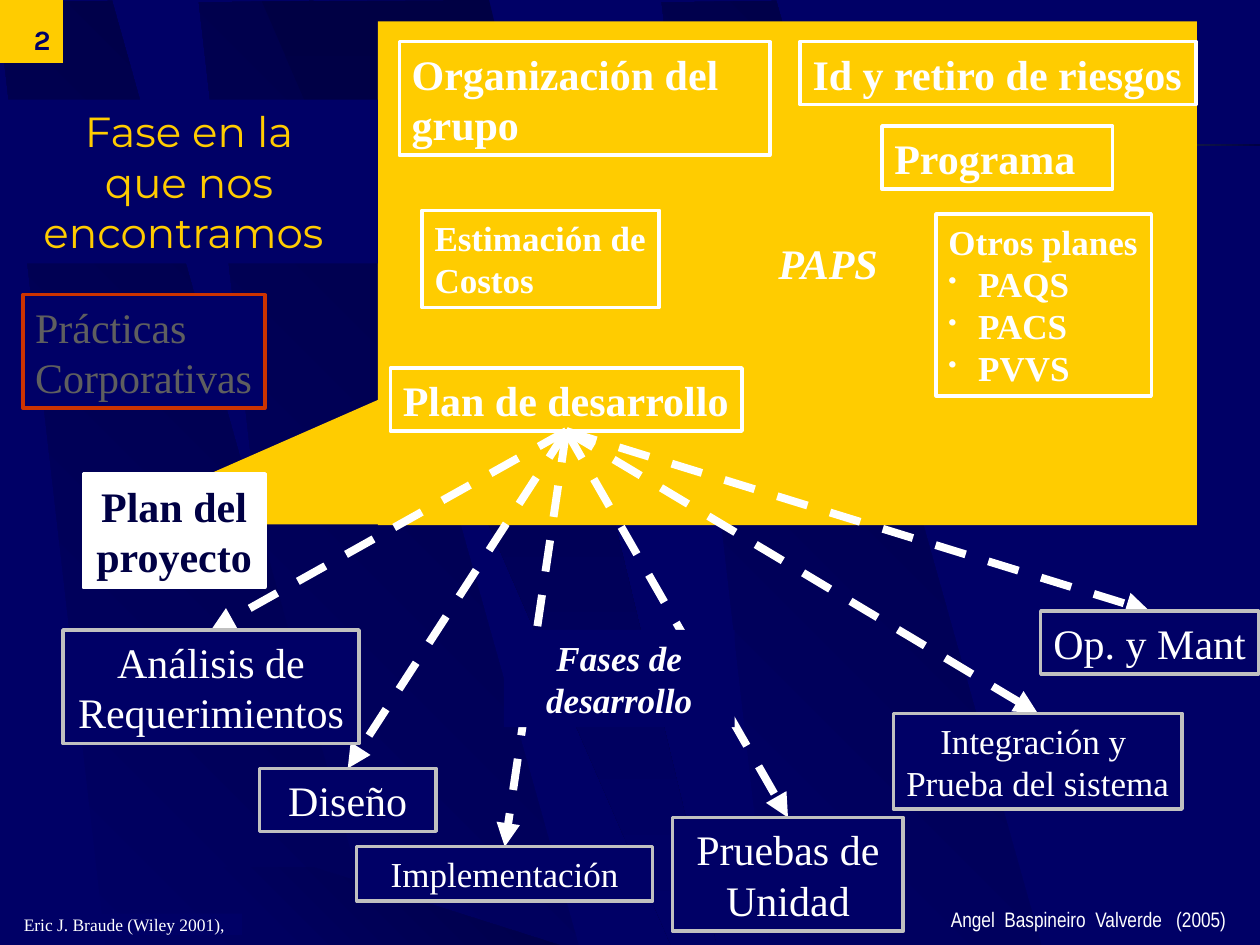
"""Build the slide that places the project plan among the development phases."""
from lxml.etree import SubElement
from pptx import Presentation
from pptx.dml.color import RGBColor
from pptx.enum.dml import MSO_LINE
from pptx.enum.shapes import MSO_CONNECTOR, MSO_SHAPE
from pptx.enum.text import MSO_ANCHOR, MSO_AUTO_SIZE, PP_ALIGN
from pptx.oxml import parse_xml
from pptx.oxml.ns import nsdecls, qn
from pptx.util import Cm, Pt

NAVY = RGBColor(0x00, 0x00, 0x66)
DARK_NAVY = RGBColor(0x00, 0x00, 0x44)
GREEN = RGBColor(0x9C, 0xE1, 0x57)
YELLOW = RGBColor(0xFF, 0xCC, 0x00)
WHITE = RGBColor(0xFF, 0xFF, 0xFF)
SILVER = RGBColor(0xC0, 0xC0, 0xC0)
GRAY = RGBColor(0x5F, 0x5F, 0x5F)
RED = RGBColor(0xCC, 0x33, 0x00)

BAND = [(2.18, 19.05), (7.67, 19.1), (2.31, 0), (0, 0.03)]
LOW_BAND = [(2.18, 1.7), (7.67, 1.7), (2.31, 0), (0, 0)]
WEDGE = [(5.28, 0.03), (13.54, 19.08), (14.45, 19.08), (9.86, 0)]

PLAN_PARTS = [
    ("Organización del grupo", (8.05, 0.84, 7.47, 2.29), 24, True),
    ("Id y retiro de riesgos", (16.13, 0.84, 7.98, 1.27), 24, False),
    ("Programa", (17.78, 2.54, 4.65, 1.27), 24, True),
    ("Estimación de\vCostos", (8.51, 4.24, 4.78, 1.96), 20, False),
]
PHASES = [
    ("Integración y \nPrueba del sistema", (18.01, 14.38, 5.82, 1.93), 20, False),
    ("Análisis de Requerimientos", (1.27, 12.7, 5.97, 2.29), 24, True),
    ("Diseño", (5.23, 15.49, 3.56, 1.27), 24, True),
    ("Op. y Mant", (20.98, 12.32, 4.39, 1.27), 24, False),
    ("Pruebas de\nUnidad", (13.56, 16.48, 4.65, 2.29), 24, True),
    ("Implementación", (7.19, 17.07, 5.97, 1.09), 20, True),
]


def add_bullet(paragraph):
    """Give a paragraph a small white bullet with a hanging indent."""
    properties = paragraph._p.get_or_add_pPr()
    properties.set("marL", str(Cm(0.6)))
    properties.set("indent", str(-Cm(0.6)))
    color = SubElement(properties, qn("a:buClr"))
    SubElement(color, qn("a:srgbClr"), val=str(WHITE))
    SubElement(properties, qn("a:buSzPct"), val="70000")
    SubElement(properties, qn("a:buChar"), char="•")


def write_text(shape, text, size=24, color=WHITE, font="Times New Roman",
               bold=False, italic=False, align=PP_ALIGN.LEFT,
               anchor=MSO_ANCHOR.TOP, wrap=True, grow=True, margin=0.13,
               spacing=None, bullets_from=None):
    """Write one paragraph per line of text into a shape."""
    frame = shape.text_frame
    frame.text = text
    frame.word_wrap = wrap
    frame.auto_size = MSO_AUTO_SIZE.SHAPE_TO_FIT_TEXT if grow else MSO_AUTO_SIZE.NONE
    frame.vertical_anchor = anchor
    frame.margin_left = frame.margin_right = Cm(0.25)
    frame.margin_top = frame.margin_bottom = Cm(margin)
    for index, paragraph in enumerate(frame.paragraphs):
        paragraph.alignment = align
        if spacing:
            paragraph.line_spacing = spacing
        if bullets_from is not None and index >= bullets_from:
            add_bullet(paragraph)
        for run in paragraph.runs:
            run.font.name = font
            run.font.size = Pt(size)
            run.font.bold = bold
            run.font.italic = italic
            run.font.color.rgb = color


def add_box(slide, place, fill=None, line=None, kind=MSO_SHAPE.RECTANGLE):
    """Add a preset shape with an optional fill and outline."""
    shape = slide.shapes.add_shape(kind, *map(Cm, place))
    shape.shadow.inherit = False
    if fill is None:
        shape.fill.background()
    else:
        shape.fill.solid()
        shape.fill.fore_color.rgb = fill
    if line is None:
        shape.line.fill.background()
    else:
        shape.line.color.rgb = line
        shape.line.width = Pt(2)
    return shape


def set_gradient(shape, colors, angle):
    """Fill a shape with evenly spaced colours along a clockwise angle."""
    step = 100000 // (len(colors) - 1)
    stops = "".join(
        f'<a:gs pos="{index * step}"><a:srgbClr val="{color}"/></a:gs>'
        for index, color in enumerate(colors))
    gradient = parse_xml(
        f'<a:gradFill {nsdecls("a")}><a:gsLst>{stops}</a:gsLst>'
        f'<a:lin ang="{angle * 60000}" scaled="0"/></a:gradFill>')
    shape.fill.background()
    properties = shape.element.spPr
    properties.replace(properties.find(qn("a:noFill")), gradient)


def add_band(slide, points, colors, angle, left=0, top=0):
    """Add a slanted gradient band of the background."""
    corners = [(Cm(left + x), Cm(top + y)) for x, y in points]
    builder = slide.shapes.build_freeform(*corners[0])
    builder.add_line_segments(corners[1:], close=True)
    band = builder.convert_to_shape()
    band.shadow.inherit = False
    band.line.fill.background()
    set_gradient(band, colors, angle)


def add_background(slide):
    """Paint the navy background with its bands and strip."""
    slide.background.fill.solid()
    slide.background.fill.fore_color.rgb = NAVY
    for left in (4.01, -0.05, 13.34):
        add_band(slide, BAND, [NAVY, DARK_NAVY], 315, left, 0.02)
    add_band(slide, WEDGE, [DARK_NAVY, NAVY], 90)
    add_band(slide, LOW_BAND, [NAVY, DARK_NAVY], 315, 4.01, 17.48)
    strip = add_box(slide, (0, 2.9, 25.4, 0.05))
    set_gradient(strip, [DARK_NAVY, GREEN, DARK_NAVY], 0)


def add_dashed_arrow(slide, source):
    """Start a dashed arrow at the bottom of a box."""
    arrow = slide.shapes.add_connector(MSO_CONNECTOR.STRAIGHT, 0, 0, 0, 0)
    arrow.begin_connect(source, 2)
    arrow.line.color.rgb = WHITE
    arrow.line.width = Pt(4.5)
    arrow.line.dash_style = MSO_LINE.DASH
    SubElement(arrow.line._get_or_add_ln(), qn("a:tailEnd"), type="triangle")
    SubElement(arrow._element.spPr, qn("a:effectLst"))
    return arrow


def add_phases(slide, development_plan):
    """Add the phase boxes, each reached by an arrow that lies beneath them."""
    arrows = [add_dashed_arrow(slide, development_plan) for _ in PHASES]
    for arrow, (text, place, size, wrap) in zip(arrows, PHASES):
        box = add_box(slide, place, NAVY, SILVER)
        write_text(box, text, size=size, wrap=wrap, align=PP_ALIGN.CENTER,
                   anchor=MSO_ANCHOR.MIDDLE)
        arrow.end_connect(box, 0)
    label = add_box(slide, (10.16, 12.7, 4.65, 1.96), NAVY)
    write_text(label, "Fases de desarrollo", size=20, bold=True, italic=True,
               align=PP_ALIGN.CENTER)


def add_plan(slide):
    """Add the yellow plan panel with its parts and return the development plan."""
    wedge = add_box(slide, (1.91, 5.92, 10.59, 4.65), YELLOW,
                    kind=MSO_SHAPE.RIGHT_TRIANGLE)
    wedge.element.spPr.get_or_add_xfrm().set("flipH", "1")
    add_box(slide, (7.62, 0.43, 16.51, 10.16), YELLOW)
    for text, place, size, wrap in PLAN_PARTS:
        write_text(add_box(slide, place, line=WHITE), text, size=size, bold=True, wrap=wrap)
    others = add_box(slide, (18.87, 4.32, 4.34, 3.66), line=WHITE)
    write_text(others, "Otros planes\nPAQS\nPACS\nPVVS", size=20, bold=True,
               wrap=False, bullets_from=1)
    label = slide.shapes.add_textbox(Cm(15.44), Cm(4.65), Cm(2.57), Cm(1.27))
    write_text(label, "PAPS", bold=True, italic=True, wrap=False)
    project = add_box(slide, (1.68, 9.55, 3.66, 2.29), WHITE, WHITE)
    write_text(project, "Plan del\nproyecto", color=DARK_NAVY, bold=True, wrap=False,
               align=PP_ALIGN.CENTER, anchor=MSO_ANCHOR.MIDDLE)
    development = add_box(slide, (7.87, 7.42, 7.09, 1.27), line=WHITE)
    write_text(development, "Plan de desarrollo", bold=True, wrap=False)
    return development


def add_frame_texts(slide):
    """Add the slide number, title, practices box, source and author."""
    number = add_box(slide, (0, 0, 1.27, 1.27), YELLOW)
    write_text(number, "2", size=16, color=NAVY, font="Karla", bold=True, grow=False,
               align=PP_ALIGN.RIGHT, anchor=MSO_ANCHOR.BOTTOM)
    title = add_box(slide, (0, 2.01, 7.62, 3.3), NAVY)
    write_text(title, "Fase en la\vque nos\vencontramos ", color=YELLOW,
               font="Montserrat", align=PP_ALIGN.CENTER, anchor=MSO_ANCHOR.BOTTOM)
    practices = add_box(slide, (0.46, 5.94, 4.88, 2.29), NAVY, RED)
    write_text(practices, "Prácticas\nCorporativas", color=GRAY, wrap=False,
               anchor=MSO_ANCHOR.MIDDLE)
    source = add_box(slide, (0.23, 18.42, 4.65, 0.43), NAVY)
    write_text(source, "Eric J. Braude (Wiley 2001),", size=10, wrap=False, margin=0)
    author = slide.shapes.add_textbox(Cm(18.92), Cm(18.21), Cm(6.48), Cm(0.71))
    write_text(author, "Angel  Baspineiro  Valverde   (2005)", size=12,
               font="Arial Narrow", spacing=0.9)


def main():
    """Build and save the presentation."""
    presentation = Presentation()
    presentation.slide_width, presentation.slide_height = Cm(25.4), Cm(19.05)
    slide = presentation.slides.add_slide(presentation.slide_layouts[6])
    add_background(slide)
    development_plan = add_plan(slide)
    add_phases(slide, development_plan)
    add_frame_texts(slide)
    presentation.save("out.pptx")


if __name__ == "__main__":
    main()
